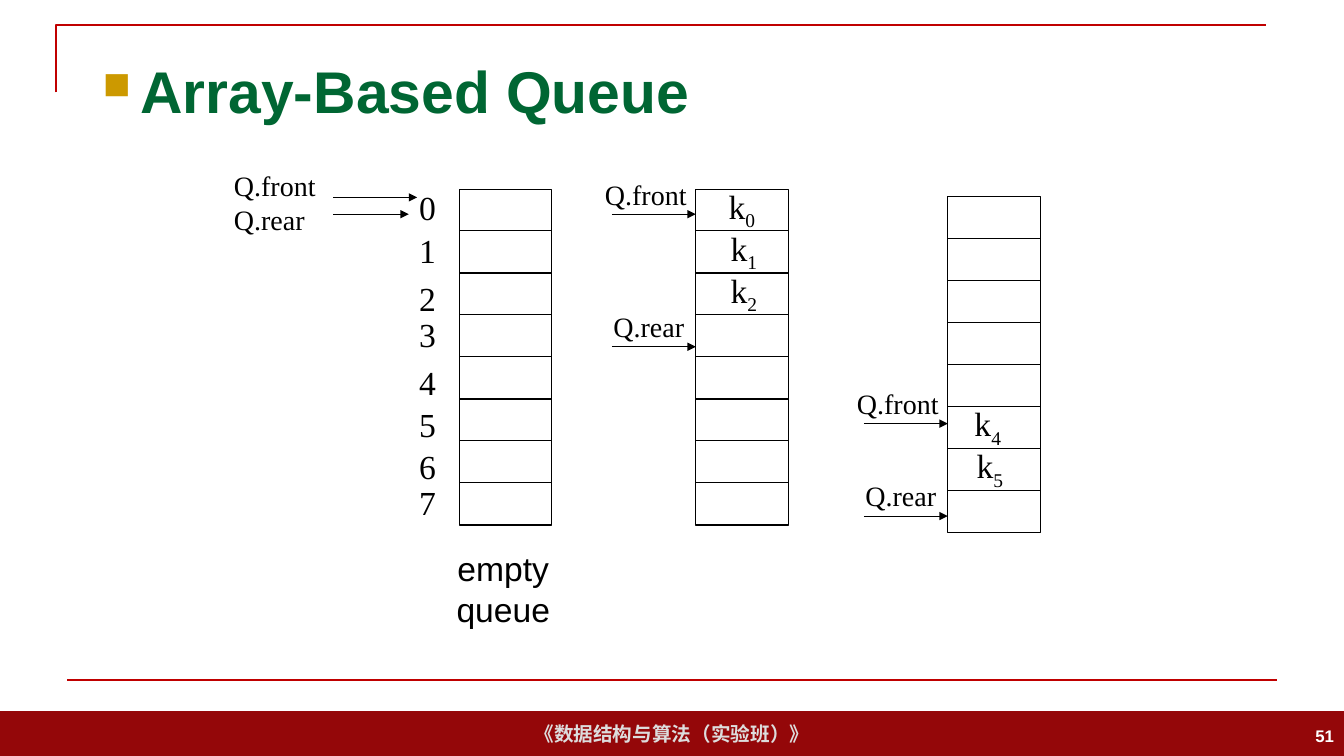
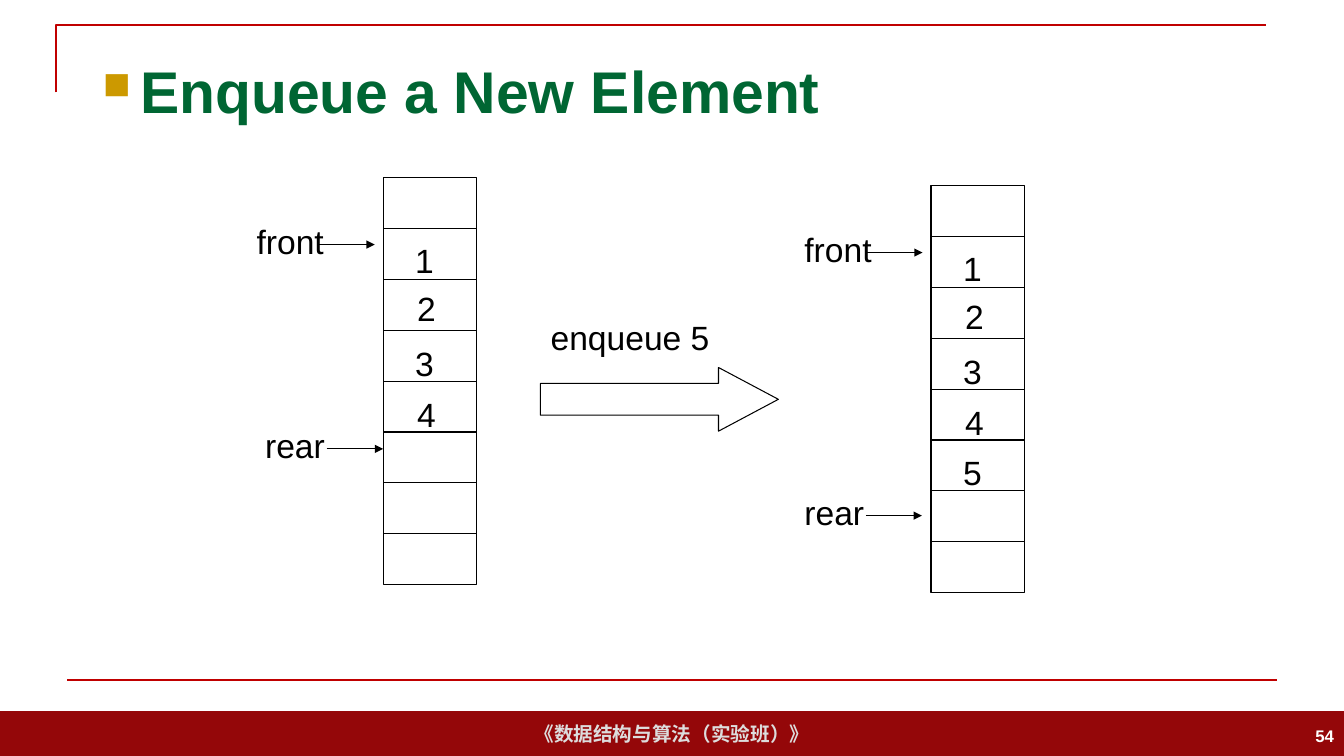
from lxml import etree
from pptx import Presentation
from pptx.dml.color import RGBColor
from pptx.enum import shapes, text
from pptx.oxml import ns
from pptx.util import Pt

BLACK = RGBColor(0x00, 0x00, 0x00)
WHITE = RGBColor(0xFF, 0xFF, 0xFF)
GREEN = RGBColor(0x00, 0x66, 0x33)
RED = RGBColor(0xC0, 0x00, 0x00)
MAROON = RGBColor(0x94, 0x07, 0x09)
PALE = RGBColor(0xDD, 0xDD, 0xDD)
GOLD = RGBColor(0xCC, 0x99, 0x00)
SANS = "Arial"
SERIF = "Times New Roman"
LEFT, CENTER, RIGHT = text.PP_ALIGN.LEFT, text.PP_ALIGN.CENTER, text.PP_ALIGN.RIGHT
TOP, MIDDLE = text.MSO_ANCHOR.TOP, text.MSO_ANCHOR.MIDDLE


def add_text(s, x, y, w, h, lines, size=24, font=SANS, color=BLACK, bold=False,
             align=LEFT, anchor=TOP, sub=""):
    tf = s.shapes.add_textbox(Pt(x), Pt(y), Pt(w), Pt(h)).text_frame
    tf.word_wrap = True
    tf.vertical_anchor = anchor
    for i, line in enumerate(lines):
        p = tf.paragraphs[0] if i == 0 else tf.add_paragraph()
        p.alignment = align
        for part in filter(None, (line, sub)):
            r = p.add_run()
            r.text = part
            r.font.name, r.font.size, r.font.bold = font, Pt(size), bold
            r.font.color.rgb = color
        if sub:
            r._r.get_or_add_rPr().set("baseline", "-25000")
    return tf


def add_line(s, x1, y1, x2, y2, color=BLACK, width=0.75, arrow=False):
    c = s.shapes.add_connector(shapes.MSO_CONNECTOR.STRAIGHT, Pt(x1), Pt(y1), Pt(x2), Pt(y2))
    c.line.color.rgb = color
    c.line.width = Pt(width)
    spPr = c._element.spPr
    if arrow:
        etree.SubElement(spPr.find(ns.qn("a:ln")), ns.qn("a:tailEnd"), type="triangle")
    etree.SubElement(spPr, ns.qn("a:effectLst"))


prs = Presentation()
prs.slide_width, prs.slide_height = Pt(960), Pt(540)

PAGES = [
    ("Array-Based Queue", "51", 8, 66, 30, [(328, 135), (497, 135), (677, 140.5)]),
    ("Enqueue a New Element", "54", 8, 66.75, 36.36, [(273.7, 126.8), (665, 132.5)]),
]
slides = []
for title, number, rows, width, row_h, columns in PAGES:
    s = prs.slides.add_slide(prs.slide_layouts[6])
    slides.append(s)

    band = s.shapes.add_shape(shapes.MSO_SHAPE.RECTANGLE, 0, Pt(508), Pt(960), Pt(32))
    band.shadow.inherit = False
    band.fill.solid()
    band.fill.fore_color.rgb = MAROON
    band.line.fill.background()
    add_text(s, 0, 508, 960, 32, ["《数据结构与算法（实验班）》"], 14, color=PALE,
             bold=True, align=CENTER, anchor=MIDDLE)
    add_text(s, 744, 511.5, 216, 28.5, [number], 12, color=WHITE, bold=True,
             align=RIGHT, anchor=MIDDLE)

    fb = s.shapes.build_freeform(Pt(40), Pt(66), scale=1.0)
    fb.add_line_segments([(Pt(40), Pt(18)), (Pt(904), Pt(18))], close=False)
    corner = fb.convert_to_shape()
    corner.shadow.inherit = False
    corner.fill.background()
    corner.line.color.rgb = RED
    corner.line.width = Pt(1.5)
    add_line(s, 48, 486, 912, 486, RED, 1.5)

    tf = add_text(s, 66.2, 29, 828, 71, [title], 42, color=GREEN, bold=True, anchor=MIDDLE)
    pPr = tf.paragraphs[0]._p.get_or_add_pPr()
    pPr.set("marL", str(Pt(27)))
    pPr.set("indent", str(-Pt(27)))
    clr = etree.SubElement(pPr, ns.qn("a:buClr"))
    etree.SubElement(clr, ns.qn("a:srgbClr"), val=str(GOLD))
    etree.SubElement(pPr, ns.qn("a:buSzPct"), val="65000")
    etree.SubElement(pPr, ns.qn("a:buFont"), typeface="Wingdings")
    etree.SubElement(pPr, ns.qn("a:buChar"), char="n")

    for x, y in columns:
        box = s.shapes.add_shape(shapes.MSO_SHAPE.RECTANGLE, Pt(x), Pt(y), Pt(width), Pt(rows * row_h))
        box.shadow.inherit = False
        box.fill.background()
        box.line.color.rgb = BLACK
        box.line.width = Pt(0.75)
        for i in range(1, rows):
            add_line(s, x, y + i * row_h, x + width, y + i * row_h)

s = slides[0]
for i, y in enumerate([130.3, 160.5, 195, 220.5, 255, 285, 315.3, 340.5]):
    add_text(s, 292.3, y, 30, 36, [str(i)], font=SERIF)
for sub, x, y in [("0", 513.4, 129), ("1", 514.8, 159), ("2", 514.8, 189),
                  ("4", 689, 284.5), ("5", 690.5, 314.5)]:
    add_text(s, x, y, 40, 36, ["k"], font=SERIF, sub=sub)
add_text(s, 160, 117, 85, 55.5, ["Q.front", "Q.rear"], 20, SERIF)
add_line(s, 238, 141, 298, 141, arrow=True)
add_line(s, 238, 153, 292, 153, arrow=True)
for label, x, y, indent in [("Q.front", 497, 153, 72), ("Q.rear", 497, 247.7, 66),
                            ("Q.front", 677, 302.6, 72), ("Q.rear", 677, 368.6, 66)]:
    add_text(s, x - indent, y - 30, 85, 31, [label], 20, SERIF)
    add_line(s, x - 60, y, x, y, arrow=True)
add_text(s, 309.5, 388, 100, 65.5, ["empty", "queue"], align=CENTER)

s = slides[1]
ITEM_OFFSETS = [(15.8, 41), (17.2, 75.4), (15.8, 114.6), (17.2, 151.2), (15.8, 187)]
REARS = [(91.4, 173.4, 40.3, 0), (97.5, 215.4, 46.5, 6.5)]
for (x, y), count, rear in zip(PAGES[1][5], (4, 5), REARS):
    for i, (dx, dy) in enumerate(ITEM_OFFSETS[:count], 1):
        add_text(s, x + dx, y + dy, 34.5, 36.5, [str(i)])
    for label, (dx, dy, tail, head) in [("front", (97.5, 27.5, 46, 6)), ("rear", rear)]:
        add_text(s, x - dx, y + dy, 70, 36.5, [label])
        add_line(s, x - tail, y + dy + 20.4, x - head, y + dy + 20.4, arrow=True)

sp = s.shapes.add_shape(shapes.MSO_SHAPE.RIGHT_ARROW, Pt(386), Pt(262.5), Pt(170), Pt(45.5))
sp.shadow.inherit = False
sp.adjustments[0], sp.adjustments[1] = 0.5, 0.94
sp.fill.solid()
sp.fill.fore_color.rgb = WHITE
sp.line.color.rgb = BLACK
sp.line.width = Pt(0.75)
add_text(s, 380, 222.8, 140, 36.5, ["enqueue 5"], align=CENTER)

prs.save("out.pptx")
